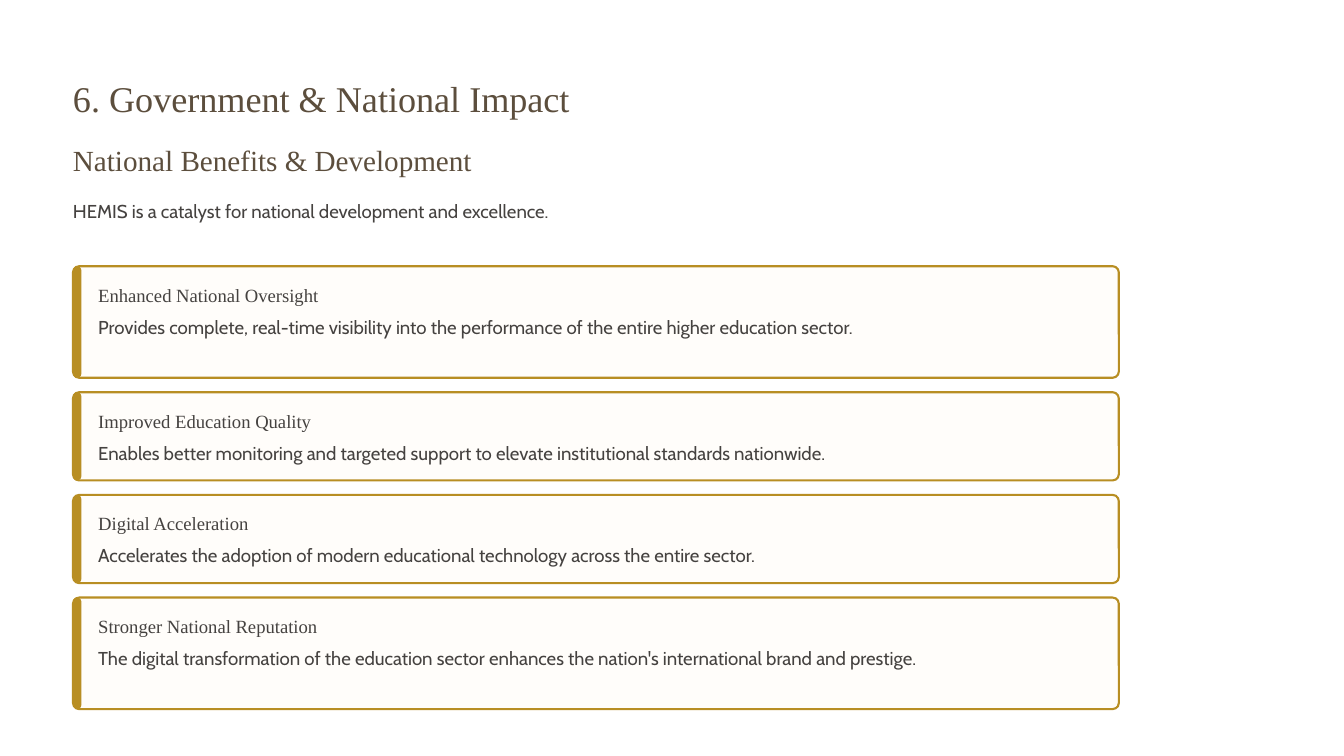
from pptx import Presentation
from pptx import util as u
from pptx.dml.color import RGBColor
from pptx.enum import shapes

Pt = u.Pt
THEME = {
    "brown": RGBColor.from_string("5C4E3D"),
    "ink": RGBColor.from_string("454240"),
    "gold": RGBColor.from_string("B88E23"),
    "cream": RGBColor.from_string("FFFDFA"),
    "serif": "Times New Roman",
    "sans": "Cabin",
    "title": 31,
    "head": 25,
    "body": 16,
}
STYLES = {
    "title": {"name": THEME["serif"], "size": Pt(THEME["title"]), "color": THEME["brown"], "lead": 39},
    "head": {"name": THEME["serif"], "size": Pt(THEME["head"]), "color": THEME["brown"], "lead": 31},
    "label": {"name": THEME["serif"], "size": Pt(THEME["body"]), "color": THEME["ink"], "lead": 19.5},
    "body": {"name": THEME["sans"], "size": Pt(THEME["body"]), "color": THEME["ink"], "lead": 20},
}

deck = Presentation()
deck.slide_width, deck.slide_height = Pt(1152), Pt(648)
slide = deck.slides.add_slide(deck.slide_layouts[6])


def add_text(words, style, left, top, width, height):
    box = slide.shapes.add_textbox(Pt(left), Pt(top), Pt(width), Pt(height))
    frame = box.text_frame
    frame.word_wrap = True
    for side in ("left", "right", "top", "bottom"):
        setattr(frame, f"margin_{side}", 0)
    para = frame.paragraphs[0]
    para.text = words
    look = STYLES[style]
    para.line_spacing = Pt(look["lead"])
    for key in ("name", "size"):
        setattr(para.font, key, look[key])
    para.font.color.rgb = look["color"]


def add_panel(left, top, width, height, fill):
    """Add a filled rectangle whose corners share one fixed radius."""
    panel = slide.shapes.add_shape(
        shapes.MSO_SHAPE.ROUNDED_RECTANGLE, Pt(left), Pt(top), Pt(width), Pt(height))
    panel.shadow.inherit = False
    panel.adjustments[0] = min(0.5, RADIUS / min(width, height))
    panel.fill.solid()
    panel.fill.fore_color.rgb = fill
    return panel


LEFT, WIDTH, BAR, RADIUS = 62.6, 896.4, 7.2, 5.25
GAP, INDENT = 12.4, 21.6

add_text("6. Government & National Impact", "title", LEFT, 63.4, 546, 39)
add_text("National Benefits & Development", "head", LEFT, 121, 432, 31)
add_text("HEMIS is a catalyst for national development and excellence.", "body", LEFT, 170.6, 595, 20)

# Each card: label, text, number of text lines it makes room for
cards = [
    ("Enhanced National Oversight",
     "Provides complete, real-time visibility into the performance of the entire higher education sector.", 2),
    ("Improved Education Quality",
     "Enables better monitoring and targeted support to elevate institutional standards nationwide.", 1),
    ("Digital Acceleration",
     "Accelerates the adoption of modern educational technology across the entire sector.", 1),
    ("Stronger National Reputation",
     "The digital transformation of the education sector enhances the nation's international brand and prestige.", 2),
]

top = 228.2
for label, words, lines in cards:
    room = 20 * lines
    height = 55.6 + room
    card = add_panel(LEFT, top, WIDTH, height, THEME["cream"])
    card.line.color.rgb = THEME["gold"]
    card.line.width = Pt(1.8)
    bar = add_panel(LEFT, top, BAR, height, THEME["gold"])
    bar.line.fill.background()
    add_text(label, "label", LEFT + INDENT, top + 14.4, 236, 19.5)
    add_text(words, "body", LEFT + INDENT, top + 41.6, 852, room)
    top += height + GAP

deck.save("out.pptx")
